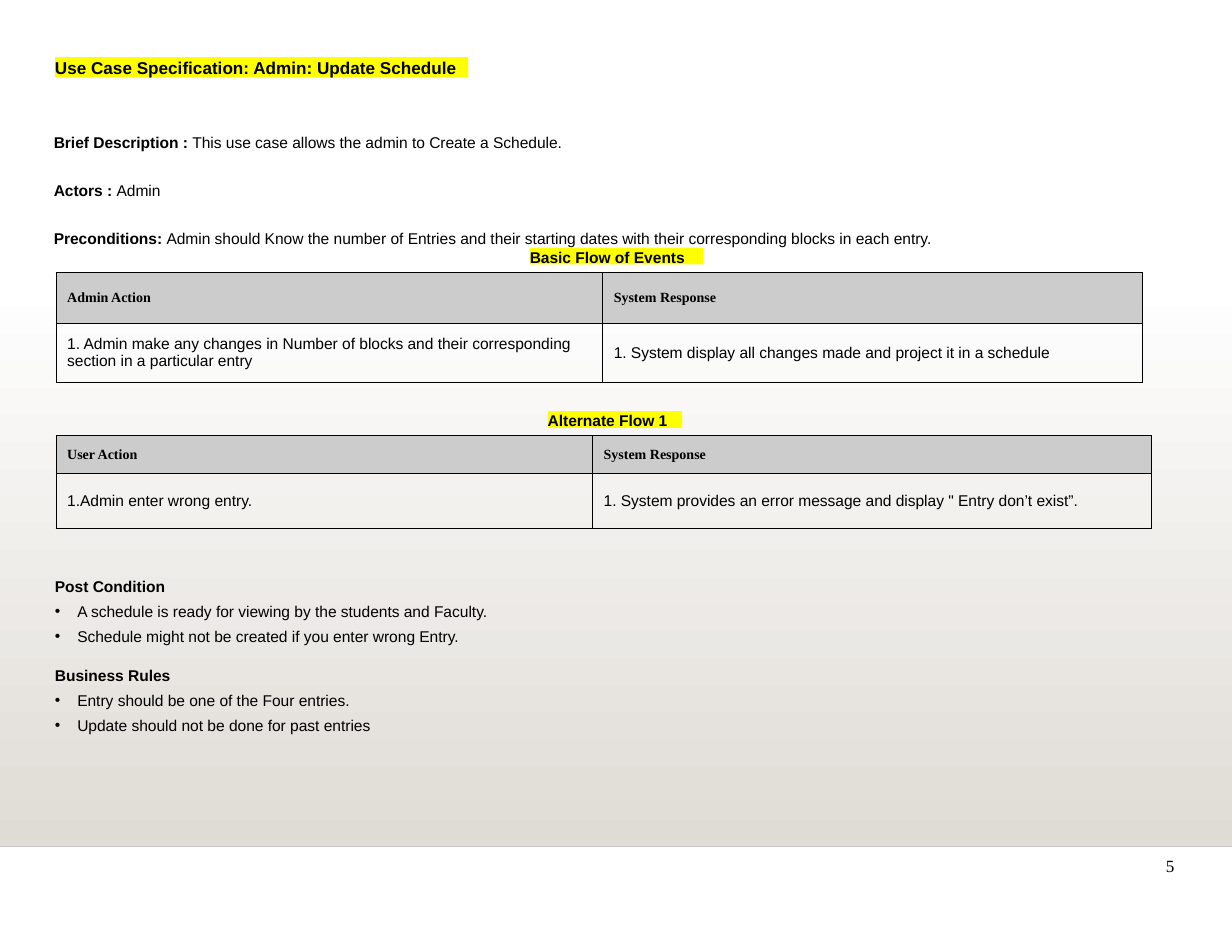
from lxml import etree
from pptx import Presentation
from pptx import util as u
from pptx.dml.color import RGBColor
from pptx.enum import shapes, text
from pptx.oxml.ns import qn

BLACK = RGBColor(0x00, 0x00, 0x00)
WHITE = RGBColor(0xFF, 0xFF, 0xFF)
YELLOW = RGBColor(0xFF, 0xFF, 0x00)
HEADER_GREY = RGBColor(0xCC, 0xCC, 0xCC)
RULE_GREY = RGBColor(0xCC, 0xCC, 0xCC)
SAND = RGBColor(0xDF, 0xDB, 0xD5)

BODY = {"name": "Arial", "size": u.Pt(10), "bold": False}
STRONG = {**BODY, "bold": True}
TITLE = {**STRONG, "size": u.Pt(11)}
HEADER = {"name": "Times New Roman", "size": u.Pt(9), "bold": True}
PAGE_NUMBER = {"name": "Times New Roman", "size": u.Pt(11), "bold": False}

BULLET_INDENT = u.Inches(0.2)


def set_values(target, values):
    for name, value in values.items():
        setattr(target, name, value)


def add_run(paragraph, wording, font_format):
    run = paragraph.add_run()
    run.text = wording
    set_values(run.font, font_format)
    run.font.color.rgb = BLACK


def prepare_frame(shape, wrap):
    frame = shape.text_frame
    set_values(frame, {"margin_left": 0, "margin_top": 0, "margin_right": 0,
                       "margin_bottom": 0, "word_wrap": wrap,
                       "vertical_anchor": text.MSO_ANCHOR.TOP})
    return frame


def add_text_box(slide, box, wrap=True):
    shape = slide.shapes.add_textbox(*map(u.Inches, box))
    return prepare_frame(shape, wrap)


def add_rectangle(slide, box):
    shape = slide.shapes.add_shape(shapes.MSO_SHAPE.RECTANGLE, *map(u.Inches, box))
    shape.shadow.inherit = False
    shape.line.fill.background()
    return shape


def add_backdrop(slide, box):
    """Fading band closed by a thin rule along its bottom edge."""
    left, top, width, height = box
    band = add_rectangle(slide, box)
    band.fill.gradient()
    band.fill.gradient_angle = 270
    for stop, color in zip(band.fill.gradient_stops, (WHITE, SAND)):
        stop.color.rgb = color

    bottom = u.Inches(top + height)
    rule = slide.shapes.add_connector(shapes.MSO_CONNECTOR.STRAIGHT, u.Inches(left),
                                      bottom, u.Inches(left + width), bottom)
    rule.line.color.rgb = RULE_GREY
    rule.line.width = u.Pt(1)
    etree.SubElement(rule._element.spPr, qn("a:effectLst"))


def add_highlighted_heading(slide, box, wording, font_format=STRONG):
    shape = add_rectangle(slide, box)
    shape.fill.solid()
    shape.fill.fore_color.rgb = YELLOW
    paragraph = prepare_frame(shape, False).paragraphs[0]
    paragraph.alignment = text.PP_ALIGN.LEFT
    add_run(paragraph, wording, font_format)


def add_summary(slide, box, entries):
    """Labelled lines, one paragraph for each label and its wording."""
    frame = add_text_box(slide, box)
    for index, (label, wording) in enumerate(entries):
        paragraph = frame.add_paragraph() if index else frame.paragraphs[0]
        paragraph.line_spacing = u.Pt(30.7)
        add_run(paragraph, label, STRONG)
        add_run(paragraph, wording, BODY)


def add_cell_borders(cell):
    properties = cell._tc.get_or_add_tcPr()
    for index, side in enumerate(("a:lnL", "a:lnR", "a:lnT", "a:lnB")):
        border = etree.Element(qn(side), w=str(u.Pt(0.45)))
        fill = etree.SubElement(border, qn("a:solidFill"))
        etree.SubElement(fill, qn("a:srgbClr"), val=str(BLACK))
        properties.insert(index, border)


def add_flow_table(slide, origin, column_widths, row_heights, rows):
    box = (*origin, sum(column_widths), sum(row_heights))
    table = slide.shapes.add_table(len(rows), len(column_widths),
                                   *map(u.Inches, box)).table
    set_values(table, {"first_row": False, "horz_banding": False})
    for column, width in zip(table.columns, column_widths):
        column.width = u.Inches(width)
    for row_index, (row, height) in enumerate(zip(table.rows, row_heights)):
        row.height = u.Inches(height)
        for cell, wording in zip(row.cells, rows[row_index]):
            cell.vertical_anchor = text.MSO_ANCHOR.MIDDLE
            if row_index == 0:
                cell.fill.solid()
                cell.fill.fore_color.rgb = HEADER_GREY
            else:
                cell.fill.background()
            add_run(cell.text_frame.paragraphs[0], wording,
                    BODY if row_index else HEADER)
            add_cell_borders(cell)


def add_bullet(paragraph):
    properties = paragraph._p.get_or_add_pPr()
    properties.set("marL", str(BULLET_INDENT))
    properties.set("indent", str(-BULLET_INDENT))
    etree.SubElement(properties, qn("a:buFont"), typeface="Arial")
    etree.SubElement(properties, qn("a:buChar"), char="•")


def add_closing_notes(slide, box, sections):
    """Bold headings, each followed by its bulleted items."""
    frame = add_text_box(slide, box)
    for index, (heading, items) in enumerate(sections):
        paragraph = frame.add_paragraph() if index else frame.paragraphs[0]
        paragraph.space_before = u.Pt(8.4 if index else 0)
        paragraph.space_after = u.Pt(4.2)
        add_run(paragraph, heading, STRONG)
        for item in items:
            paragraph = frame.add_paragraph()
            paragraph.space_after = u.Pt(4.2)
            add_bullet(paragraph)
            add_run(paragraph, item, BODY)


def add_page_number(slide, box, number):
    frame = add_text_box(slide, box, wrap=False)
    add_run(frame.paragraphs[0], number, PAGE_NUMBER)


def main():
    presentation = Presentation()
    presentation.slide_width = u.Inches(11)
    presentation.slide_height = u.Inches(8.5)
    slide = presentation.slides.add_slide(presentation.slide_layouts[6])

    add_backdrop(slide, (0, 2.5, 11, 5.06))

    # Title and summary
    add_highlighted_heading(slide, (0.49, 0.51, 3.69, 0.18),
                            "Use Case Specification: Admin: Update Schedule", TITLE)
    add_summary(slide, (0.48, 0.93, 8.69, 1.04), [
        ("Brief Description : ", "This use case allows the admin to Create a Schedule."),
        ("Actors : ", "Admin"),
        ("Preconditions: ", "Admin should Know the number of Entries and their starting "
                            "dates with their corresponding blocks in each entry."),
    ])

    # Flows of events
    add_highlighted_heading(slide, (4.73, 2.21, 1.55, 0.15), "Basic Flow of Events")
    add_flow_table(slide, (0.5, 2.43), (4.88, 4.82), (0.46, 0.52), [
        ("Admin Action", "System Response"),
        ("1. Admin make any changes in Number of blocks and their corresponding "
         "section in a particular entry",
         "1. System display all changes made and project it in a schedule"),
    ])
    add_highlighted_heading(slide, (4.89, 3.67, 1.2, 0.15), "Alternate Flow 1")
    add_flow_table(slide, (0.5, 3.89), (4.79, 4.99), (0.34, 0.49), [
        ("User Action", "System Response"),
        ("1.Admin enter wrong entry.",
         "1. System provides an error message and display \" Entry don’t exist”."),
    ])

    # Conditions, rules and page number
    add_closing_notes(slide, (0.49, 5.15, 4.51, 1.42), [
        ("Post Condition", ["A schedule is ready for viewing by the students and Faculty.",
                            "Schedule might not be created if you enter wrong Entry."]),
        ("Business Rules", ["Entry should be one of the Four entries.",
                            "Update should not be done for past entries"]),
    ])
    add_page_number(slide, (10.41, 7.64, 0.1, 0.15), "5")

    presentation.save("out.pptx")


if __name__ == "__main__":
    main()
